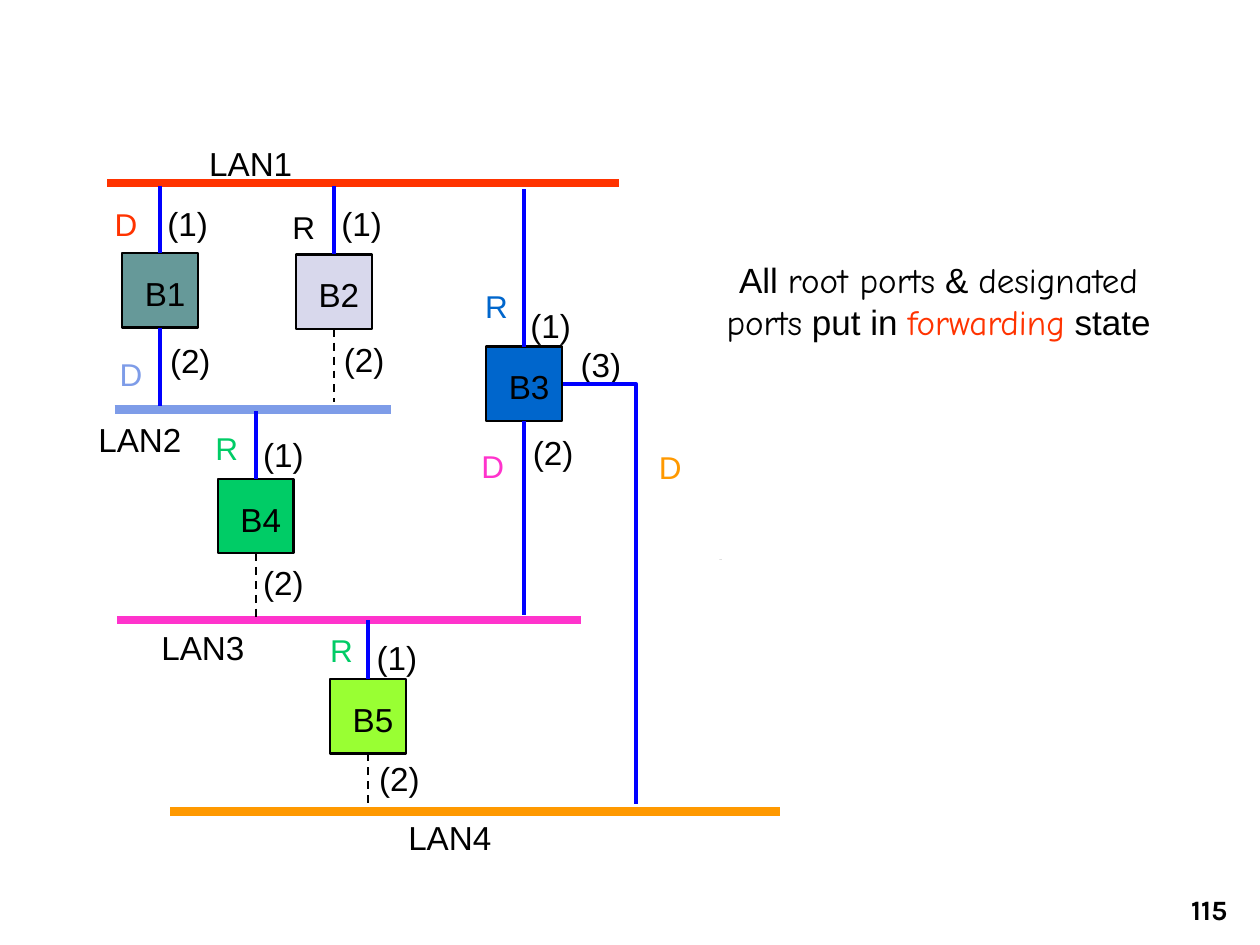
from dataclasses import dataclass

from lxml import etree
from pptx import Presentation
from pptx.dml.color import RGBColor
from pptx.enum.dml import MSO_LINE
from pptx.enum.shapes import MSO_CONNECTOR, MSO_SHAPE
from pptx.enum.text import MSO_ANCHOR, MSO_AUTO_SIZE, PP_ALIGN
from pptx.oxml.ns import qn
from pptx.util import Inches, Pt

STRAIGHT = MSO_CONNECTOR.STRAIGHT
RECTANGLE = MSO_SHAPE.RECTANGLE
DASH = MSO_LINE.DASH
TOP_ANCHOR, BOTTOM_ANCHOR = MSO_ANCHOR.TOP, MSO_ANCHOR.BOTTOM
CENTER, RIGHT = PP_ALIGN.CENTER, PP_ALIGN.RIGHT
FIT_SHAPE, NO_FIT = MSO_AUTO_SIZE.SHAPE_TO_FIT_TEXT, MSO_AUTO_SIZE.NONE
TOP_SIDE, BOTTOM_SIDE = 0, 2

BLACK = RGBColor(0x00, 0x00, 0x00)
LINK_BLUE = RGBColor(0x00, 0x00, 0xFF)
RED = RGBColor(0xFF, 0x33, 0x00)
PERIWINKLE = RGBColor(0x7E, 0x9C, 0xE8)
PINK = RGBColor(0xFF, 0x33, 0xCC)
ORANGE = RGBColor(0xFF, 0x99, 0x00)
TEAL = RGBColor(0x66, 0x99, 0x99)
LAVENDER = RGBColor(0xD8, 0xD8, 0xEC)
BLUE = RGBColor(0x00, 0x66, 0xCC)
GREEN = RGBColor(0x00, 0xCC, 0x66)
LIME = RGBColor(0x99, 0xFF, 0x33)

SANS, HAND, NUMBER_FONT = "Arial", "Comic Neue", "Karla"
BRIDGE_W, BRIDGE_H = 0.6, 0.59
LABEL_H, TAG_W, LAN_LABEL_W = 0.32, 0.34, 0.68
ROLE_W, ROLE_H = 0.38, 0.4


@dataclass(frozen=True)
class Run:
    text: str
    font: str = SANS
    color: RGBColor = BLACK


@dataclass(frozen=True)
class Lan:
    name: str
    start: float
    end: float
    y: float
    color: RGBColor
    label_at: tuple[float, float]


@dataclass(frozen=True)
class Bridge:
    name: str
    left: float
    top: float
    color: RGBColor


@dataclass(frozen=True)
class Link:
    """A vertical line from a bridge's top or bottom side to a LAN."""
    bridge: str
    side: int
    lan_y: float
    blocked: bool = False


@dataclass(frozen=True)
class Role:
    letter: str
    left: float
    top: float
    color: RGBColor


LANS = [
    Lan("LAN1", 0.85, 4.91, 1.45, RED, (1.65, 1.14)),
    Lan("LAN2", 0.91, 3.1, 3.25, PERIWINKLE, (0.77, 3.33)),
    Lan("LAN3", 0.93, 4.61, 4.92, PINK, (1.27, 4.98)),
    Lan("LAN4", 1.35, 6.19, 6.44, ORANGE, (3.23, 6.49)),
]
BRIDGES = [
    Bridge("B1", 0.97, 2.01, TEAL),
    Bridge("B2", 2.35, 2.02, LAVENDER),
    Bridge("B3", 3.86, 2.75, BLUE),
    Bridge("B4", 1.73, 3.8, GREEN),
    Bridge("B5", 2.62, 5.39, LIME),
]
LINKS = [
    Link("B1", TOP_SIDE, 1.48),
    Link("B1", BOTTOM_SIDE, 3.22),
    Link("B2", TOP_SIDE, 1.48),
    Link("B2", BOTTOM_SIDE, 3.19, blocked=True),
    Link("B3", TOP_SIDE, 1.5),
    Link("B3", BOTTOM_SIDE, 4.88),
    Link("B4", TOP_SIDE, 3.26),
    Link("B4", BOTTOM_SIDE, 4.92, blocked=True),
    Link("B5", TOP_SIDE, 4.92),
    Link("B5", BOTTOM_SIDE, 6.42, blocked=True),
]
PORT_NUMBERS = {
    "(1)": [(1.32, 1.61), (2.7, 1.61), (2.08, 3.45), (4.2, 2.42), (2.98, 5.06)],
    "(2)": [(1.34, 2.7), (2.72, 2.69), (2.08, 4.46), (3, 6.02), (4.22, 3.43)],
    "(3)": [(4.6, 2.73)],
}
B3_TO_LAN4 = [(4.47, 3.05), (5.05, 3.05), (5.05, 6.38)]
ROLES = [
    Role("R", 2.22, 1.6, BLACK),
    Role("R", 3.75, 2.23, BLUE),
    Role("R", 1.61, 3.36, GREEN),
    Role("R", 2.52, 4.96, GREEN),
    Role("D", 0.81, 1.58, RED),
    Role("D", 0.85, 2.77, PERIWINKLE),
    Role("D", 3.72, 3.5, PINK),
    Role("D", 5.13, 3.51, ORANGE),
]
STATEMENT = [
    Run("All "), Run("root ports", HAND), Run(" & "),
    Run("designated ports", HAND), Run(" put in "),
    Run("forwarding", HAND, RED), Run(" state"),
]


def add_text(slide, runs: list[Run], left: float, top: float, width: float,
             height: float, *, size=19, bold=False, align=CENTER, wrap=False,
             inset=True, anchor=TOP_ANCHOR, fit=FIT_SHAPE):
    box = slide.shapes.add_textbox(Inches(left), Inches(top), Inches(width), Inches(height))
    frame = box.text_frame
    frame.word_wrap, frame.auto_size, frame.vertical_anchor = wrap, fit, anchor
    if not inset:
        frame.margin_left = frame.margin_right = frame.margin_top = frame.margin_bottom = 0
    paragraph = frame.paragraphs[0]
    paragraph.alignment = align
    for part in runs:
        run = paragraph.add_run()
        run.text = part.text
        run.font.name, run.font.size, run.font.bold = part.font, Pt(size), bold
        run.font.color.rgb = part.color


def add_line(slide, start: tuple[float, float], end: tuple[float, float],
             color: RGBColor, width: float):
    line = slide.shapes.add_connector(STRAIGHT, *map(Inches, start + end))
    line.line.color.rgb, line.line.width = color, Pt(width)
    etree.SubElement(line._element.spPr, qn("a:effectLst"))
    return line


def add_rectangle(slide, left: float, top: float, width: float, height: float,
                  color: RGBColor):
    box = slide.shapes.add_shape(RECTANGLE, *map(Inches, (left, top, width, height)))
    box.shadow.inherit = False
    box.fill.solid()
    box.fill.fore_color.rgb = color
    box.line.fill.background()
    return box


def add_bridge(slide, bridge: Bridge):
    box = add_rectangle(slide, bridge.left, bridge.top, BRIDGE_W, BRIDGE_H, bridge.color)
    box.line.color.rgb, box.line.width = BLACK, Pt(1.25)
    add_text(slide, [Run(bridge.name)], bridge.left + 0.17, bridge.top + 0.16,
             TAG_W, LABEL_H, inset=False)
    return box


def add_link(slide, link: Link, bridge: Bridge, box):
    x = bridge.left + BRIDGE_W / 2
    y = bridge.top + (BRIDGE_H if link.side == BOTTOM_SIDE else 0)
    color, width = (BLACK, 1.13) if link.blocked else (LINK_BLUE, 2.25)
    line = add_line(slide, (x, y), (x, link.lan_y), color, width)
    line.begin_connect(box, link.side)
    if link.blocked:
        line.line.dash_style = DASH


def add_open_path(slide, points: list[tuple[float, float]]):
    corners = [(Inches(x), Inches(y)) for x, y in points]
    builder = slide.shapes.build_freeform(*corners[0])
    builder.add_line_segments(corners[1:], close=False)
    route = builder.convert_to_shape()
    route.shadow.inherit = False
    route.fill.background()
    route.line.color.rgb, route.line.width = LINK_BLUE, Pt(2.25)


def main():
    deck = Presentation()
    deck.slide_width, deck.slide_height = Inches(10), Inches(7.5)
    slide = deck.slides.add_slide(deck.slide_layouts[6])

    for lan in LANS:
        add_line(slide, (lan.start, lan.y), (lan.end, lan.y), lan.color, 4.75)
        add_text(slide, [Run(lan.name)], *lan.label_at, LAN_LABEL_W, LABEL_H, inset=False)
    add_rectangle(slide, 5.71, 4.44, 0.02, 0, BLACK)
    bridges = {bridge.name: (bridge, add_bridge(slide, bridge)) for bridge in BRIDGES}
    for number, places in PORT_NUMBERS.items():
        for left, top in places:
            add_text(slide, [Run(number)], left, top, TAG_W, LABEL_H, inset=False)
    add_open_path(slide, B3_TO_LAN4)
    for link in LINKS:
        add_link(slide, link, *bridges[link.bridge])
    for role in ROLES:
        add_text(slide, [Run(role.letter, color=role.color)], role.left, role.top,
                 ROLE_W, ROLE_H, size=18)

    add_text(slide, STATEMENT, 5.47, 2, 3.96, 0.77, size=20, wrap=True)
    add_text(slide, [Run("115", NUMBER_FONT)], 7.76, 6.9, 2.08, 0.5, size=16, bold=True,
             align=RIGHT, wrap=True, anchor=BOTTOM_ANCHOR, fit=NO_FIT)
    deck.save("out.pptx")


if __name__ == "__main__":
    main()
